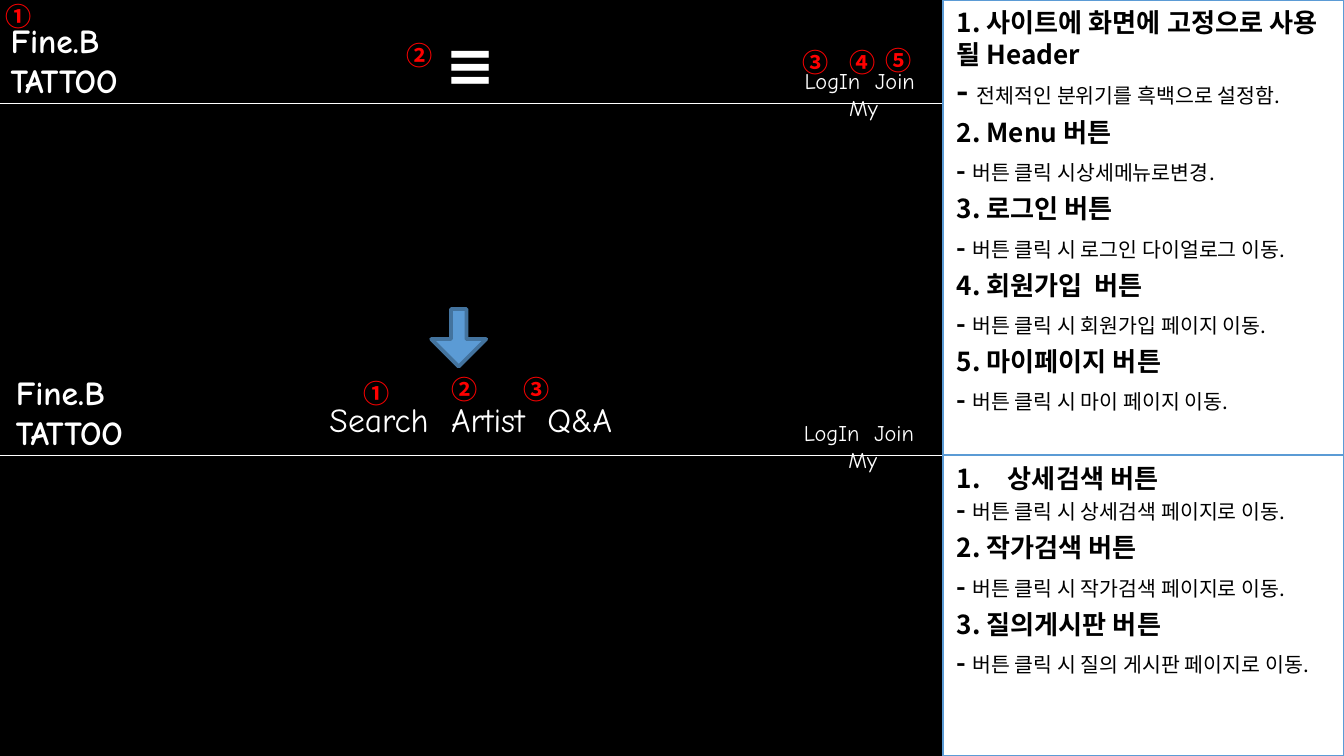
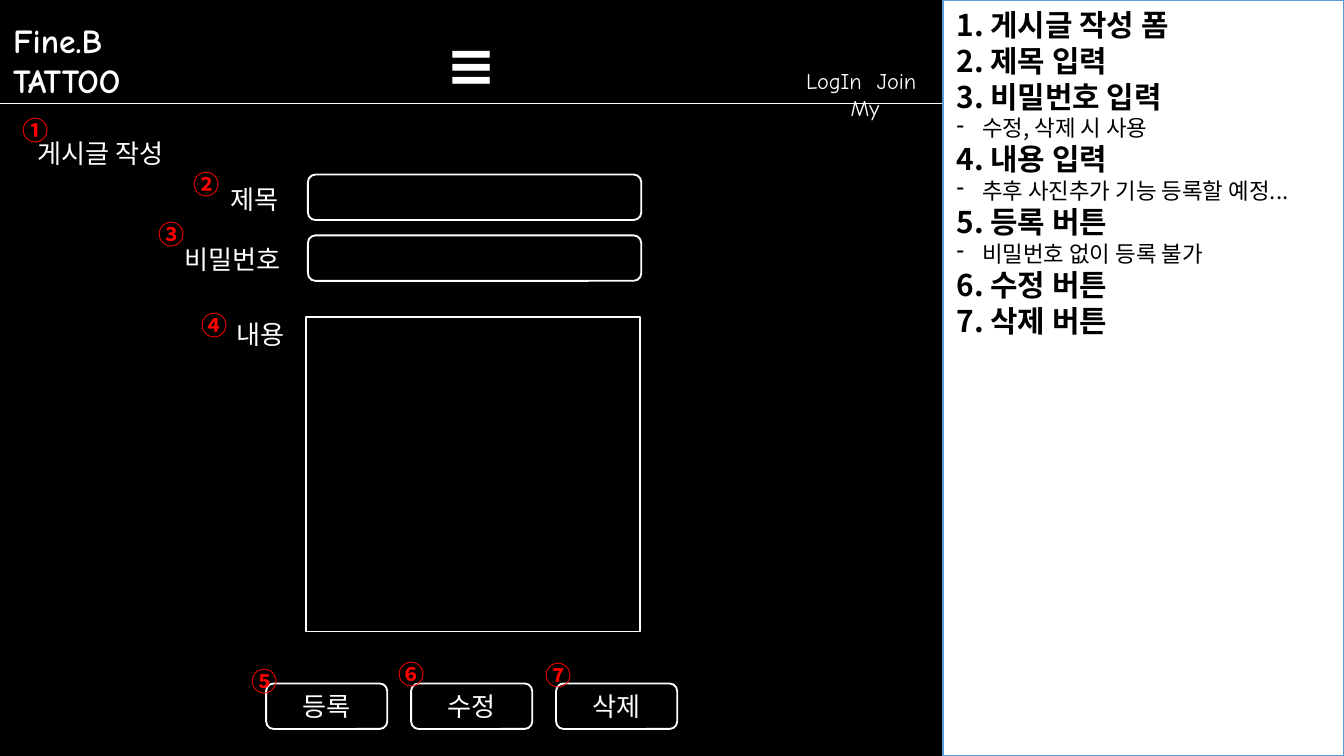
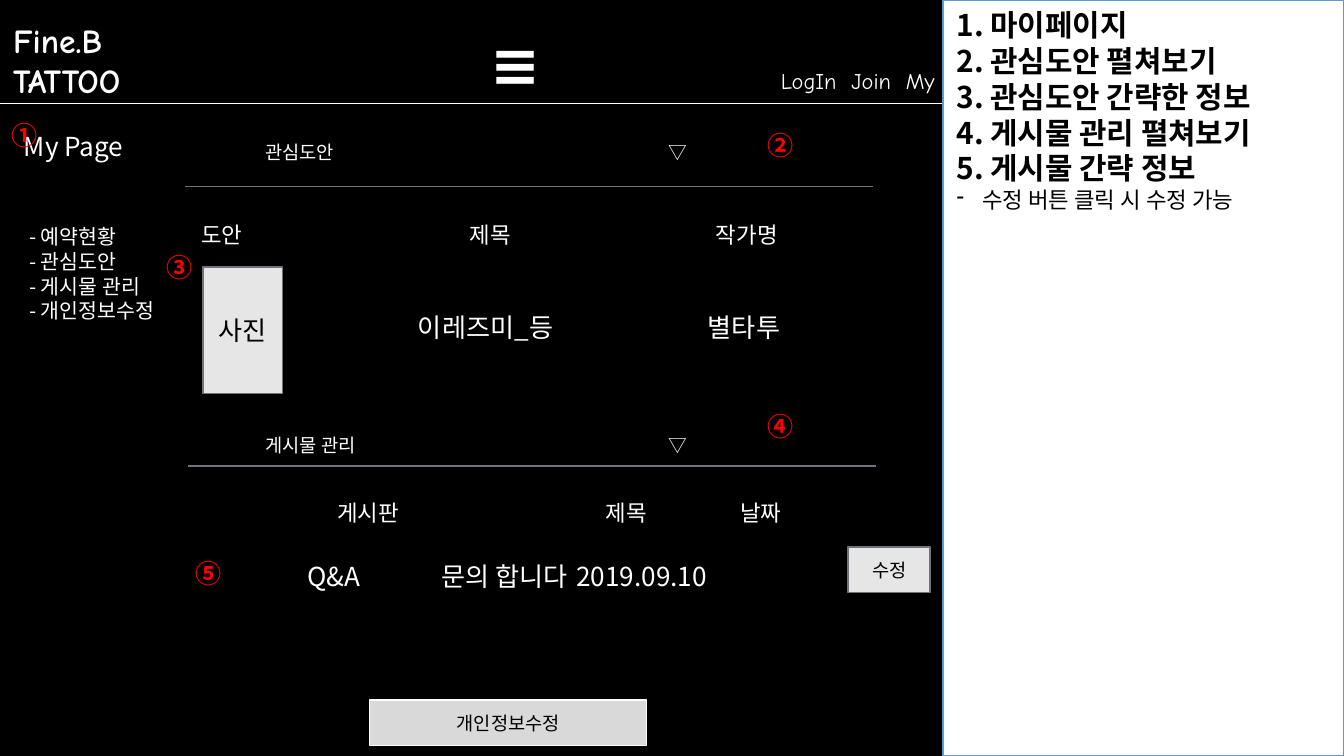
from lxml import etree
from pptx import Presentation
from pptx import util as u
from pptx.dml.color import RGBColor
from pptx.enum import shapes, text
from pptx.oxml import ns

WIDTH, HEIGHT = 25.4, 14.29
SPLIT = 17.83  # left edge of the notes column
DISPLAY, BODY = "Comic Neue", "Noto Sans CJK KR"
BLACK, WHITE, RED = "000000", "FFFFFF", "FF0000"
BLUE, DARK_BLUE = "5B9BD5", "43739E"
GRAY, PALE, SILVER = "6E747A", "E7E6E6", "D9D9D9"
NUMERALS = "①②③④⑤⑥⑦"
LEFT, CENTER = text.PP_ALIGN.LEFT, text.PP_ALIGN.CENTER
SHAPE = shapes.MSO_SHAPE
INSETS = (0.25, 0.13, 0.25, 0.13)
WIDE_INSETS = (0.25,) * 4


def rgb(color):
    return RGBColor.from_string(color)


def cm(values):
    return [u.Cm(value) for value in values]


def add_element(parent, tag, **attributes):
    child = etree.SubElement(parent, ns.qn(tag))
    for key, value in attributes.items():
        child.set(key, str(value))
    return child


def format_run(run, size, color, bold, font):
    run.font.size = u.Pt(size)
    run.font.bold = bold
    run.font.color.rgb = rgb(color)
    run.font.name = font
    add_element(run.font._element, "a:ea", typeface=font)


def write(paragraph, content, size, color=WHITE, bold=False, font=BODY, align=LEFT):
    paragraph.text = content
    paragraph.alignment = align
    paragraph.line_spacing = u.Pt(size * 1.2)
    for run in paragraph.runs:
        format_run(run, size, color, bold, font)


def set_insets(frame, insets):
    frame.word_wrap = True
    (frame.margin_left, frame.margin_top,
     frame.margin_right, frame.margin_bottom) = cm(insets)


def label(slide, place, lines, size, insets=INSETS, **style):
    frame = slide.shapes.add_textbox(*cm(place)).text_frame
    set_insets(frame, insets)
    frame.text = lines
    for paragraph in frame.paragraphs:
        write(paragraph, paragraph.text, size, **style)
    return frame


def tabbed_row(slide, place, content, size, stops, indent=0.25):
    """A row of columns whose tab stops count from the text edge."""
    frame = label(slide, place, content, size, (indent, 0.25, 0.25, 0.25))
    tabs = add_element(frame.paragraphs[0]._p.get_or_add_pPr(), "a:tabLst")
    for stop in stops:
        add_element(tabs, "a:tab", pos=u.Cm(stop), algn="l")


def block(slide, kind, place, fill, line, weight, caption="", size=14, color=WHITE,
          insets=INSETS, anchor=text.MSO_ANCHOR.MIDDLE):
    shape = slide.shapes.add_shape(kind, *cm(place))
    shape.shadow.inherit = False
    shape.fill.solid()
    shape.fill.fore_color.rgb = rgb(fill)
    shape.line.color.rgb = rgb(line)
    shape.line.width = u.Pt(weight)
    frame = shape.text_frame
    set_insets(frame, insets)
    frame.vertical_anchor = anchor
    if caption:
        write(frame.paragraphs[0], caption, size, color, align=CENTER)
    return shape


def rule(slide, left, right, top, color):
    line = slide.shapes.add_connector(
        shapes.MSO_CONNECTOR.STRAIGHT, *cm((left, top, right, top)))
    line.line.color.rgb = rgb(color)
    line.line.width = u.Pt(0.75)
    add_element(line._element.spPr, "a:effectLst")


def badges(slide, places):
    for numeral, (left, top) in zip(NUMERALS, places):
        label(slide, (left, top, 0.8, 0.86), numeral, 14, color=RED, bold=True)


def header(slide, top=0, brand_left=0, login=(14.94, 2.82), menu_left=None):
    label(slide, (brand_left, top + 0.28, 3.1, 1.5), "Fine.B\nTATTOO", 18,
          (0.25, 0.1, 0.25, 0.25), bold=True, font=DISPLAY)
    login_left, login_width = login
    label(slide, (login_left, top + 1.27, login_width, 0.51), "LogIn  Join  My", 12,
          (0,) * 4, font=DISPLAY, align=CENTER)
    if menu_left is not None:
        label(slide, (menu_left, top + 0.51, 2.03, 1.04), "≡", 32,
              (0.25, 0, 0.25, 0), bold=True, font=DISPLAY, align=CENTER)
    rule(slide, 0, SPLIT, top + 1.96, WHITE)


def notes_panel(slide, top=0, height=HEIGHT):
    panel = block(slide, SHAPE.RECTANGLE, (SPLIT, top, WIDTH - SPLIT, height),
                  WHITE, BLUE, 1, anchor=text.MSO_ANCHOR.TOP)
    return panel.text_frame


def add_bullet(paragraph, indent, tag, **attributes):
    properties = paragraph._p.get_or_add_pPr()
    properties.set("marL", str(u.Cm(indent)))
    properties.set("indent", str(-u.Cm(indent)))
    add_element(properties, tag, **attributes)


def next_paragraph(frame, index):
    return frame.add_paragraph() if index else frame.paragraphs[0]


def paired_notes(frame, pairs, first_dash=14, auto_first=False):
    """Bold headings, each followed by a dashed explanation."""
    for index, (heading, detail) in enumerate(pairs):
        title = next_paragraph(frame, index)
        if auto_first and index == 0:
            add_bullet(title, 0.97, "a:buAutoNum", type="arabicPeriod")
        write(title, heading, 14, BLACK, True)
        explanation = frame.add_paragraph()
        write(explanation, "- ", 14 if index else first_dash, BLACK, True)
        run = explanation.add_run()
        run.text = detail
        format_run(run, 11, BLACK, False, BODY)
        if index:
            title.space_before = explanation.space_before = u.Pt(3.6)


def outline_notes(frame, notes):
    """Numbered headings; a note starting with a dash becomes a bullet."""
    number = 0
    for index, note in enumerate(notes):
        paragraph = next_paragraph(frame, index)
        if note.startswith("-"):
            add_bullet(paragraph, 0.48, "a:buChar", char="-")
            write(paragraph, note[1:], 12, BLACK)
        else:
            number += 1
            write(paragraph, f"{number}. {note}", 16, BLACK, True)


def new_slide(deck):
    slide = deck.slides.add_slide(deck.slide_layouts[6])
    slide.background.fill.solid()
    slide.background.fill.fore_color.rgb = rgb(BLACK)
    return slide


def header_slide(deck):
    slide = new_slide(deck)
    second = 6.65
    header(slide, brand_left=-0.05, login=(14.91, 2.82), menu_left=7.87)
    badges(slide, [(-0.15, -0.13), (7.44, 0.61), (14.91, 0.74), (15.8, 0.74), (16.48, 0.71)])
    paired_notes(notes_panel(slide, height=8.61), [
        ("1. 사이트에 화면에 고정으로 사용 될 Header", "전체적인 분위기를 흑백으로 설정함."),
        ("2. Menu 버튼", "버튼 클릭 시상세메뉴로변경."),
        ("3. 로그인 버튼", "버튼 클릭 시 로그인 다이얼로그 이동."),
        ("4. 회원가입  버튼", "버튼 클릭 시 회원가입 페이지 이동."),
        ("5. 마이페이지 버튼", "버튼 클릭 시 마이 페이지 이동."),
    ], first_dash=18)

    header(slide, second, brand_left=0.05, login=(14.91, 2.79))
    label(slide, (5.38, 7.54, 7.04, 0.64), "Search  Artist  Q&A", 18,
          (0.25, 0, 0.25, 0.25), font=DISPLAY, align=CENTER)
    badges(slide, [(6.63, 7.01), (8.28, 6.93), (9.65, 6.93)])
    arrow = block(slide, SHAPE.DOWN_ARROW, (8.15, 5.84, 1.04, 1.09), BLUE, DARK_BLUE, 2)
    arrow.adjustments[0] = 0.28
    paired_notes(notes_panel(slide, 8.61, HEIGHT - 8.61), [
        ("상세검색 버튼", "버튼 클릭 시 상세검색 페이지로 이동."),
        ("2. 작가검색 버튼", "버튼 클릭 시 작가검색 페이지로 이동."),
        ("3. 질의게시판 버튼", "버튼 클릭 시 질의 게시판 페이지로 이동."),
    ], auto_first=True)


def post_form_slide(deck):
    slide = new_slide(deck)
    header(slide, menu_left=7.9)
    for caption, left, top, width in [
        ("게시글 작성", 0.46, 2.46, 3.66), ("제목", 4.11, 3.33, 2.03),
        ("비밀번호", 3.23, 4.47, 2.59), ("내용", 4.22, 5.89, 1.57),
    ]:
        label(slide, (left, top, width, 0.86), caption, 14)
    for top in (3.3, 4.45):
        block(slide, SHAPE.ROUNDED_RECTANGLE, (5.82, top, 6.3, 0.86), BLACK, WHITE, 1)
    block(slide, SHAPE.RECTANGLE, (5.79, 6, 6.3, 5.94), BLACK, WHITE, 1)
    for index, caption in enumerate(("등록", "수정", "삭제")):
        block(slide, SHAPE.ROUNDED_RECTANGLE, (5.03 + 2.74 * index, 12.92, 2.29, 0.86),
              BLACK, WHITE, 1, caption)
    badges(slide, [(0.18, 2.03), (3.4, 3.05), (2.74, 3.99), (3.56, 5.72),
                   (4.5, 12.45), (7.29, 12.32), (10.06, 12.34)])
    outline_notes(notes_panel(slide), [
        "게시글 작성 폼", "제목 입력", "비밀번호 입력", "-수정, 삭제 시 사용",
        "내용 입력", "-추후 사진추가 기능 등록할 예정...",
        "등록 버튼", "-비밀번호 없이 등록 불가", "수정 버튼", "삭제 버튼",
    ])


def my_page_slide(deck):
    slide = new_slide(deck)
    header(slide, login=(14.68, 3.07), menu_left=8.73)
    label(slide, (0.2, 2.34, 3.4, 0.86), "My Page", 14)
    label(slide, (0.3, 3.99, 3.07, 3.12),
          "- 예약현황\n- 관심도안\n- 게시물 관리\n- 개인정보수정", 11, WIDE_INSETS)

    for section, left, top, line_top in [
        ("관심도안", 3.5, 2.46, 3.53), ("게시물 관리", 3.55, 7.98, 8.81),
    ]:
        tabbed_row(slide, (3.5, top, 13, 0.86), f"{section}\t▽", 10, [7.62], indent=1.52)
        rule(slide, left, left + 13, line_top, GRAY)

    tabbed_row(slide, (3.55, 3.94, 13, 1.04), "도안\t제목\t작가명", 12, [5.08, 9.73])
    tabbed_row(slide, (6.38, 5.64, 10.13, 1.04), "이레즈미_등\t별타투", 14, [5.48], indent=1.52)
    tabbed_row(slide, (3.58, 9.19, 12.73, 0.86), "\t게시판\t제목\t날짜", 12, [2.54, 7.62, 10.16])
    tabbed_row(slide, (5.56, 10.34, 11.79, 0.86), "Q&A\t문의 합니다\t2019.09.10", 14, [2.54, 5.08])

    for caption, place, size, fill, line in [
        ("사진", (3.84, 5.05, 1.5, 2.39), 14, PALE, GRAY),
        ("수정", (16.03, 10.34, 1.55, 0.86), 10, PALE, GRAY),
        ("개인정보수정", (6.99, 13.23, 5.23, 0.86), 10, SILVER, WHITE),
    ]:
        block(slide, SHAPE.RECTANGLE, place, fill, line, 0.75, caption, size, BLACK,
              (0.1, 0.25, 0.1, 0.25))
    badges(slide, [(-0.03, 2.13), (14.25, 2.31), (2.9, 4.62), (14.25, 7.62), (3.45, 10.41)])
    outline_notes(notes_panel(slide), [
        "마이페이지", "관심도안 펼쳐보기", "관심도안 간략한 정보",
        "게시물 관리 펼쳐보기", "게시물 간략 정보", "-수정 버튼 클릭 시 수정 가능",
    ])


def main():
    deck = Presentation()
    deck.slide_width, deck.slide_height = cm((WIDTH, HEIGHT))
    header_slide(deck)
    post_form_slide(deck)
    my_page_slide(deck)
    deck.save("out.pptx")


if __name__ == "__main__":
    main()
